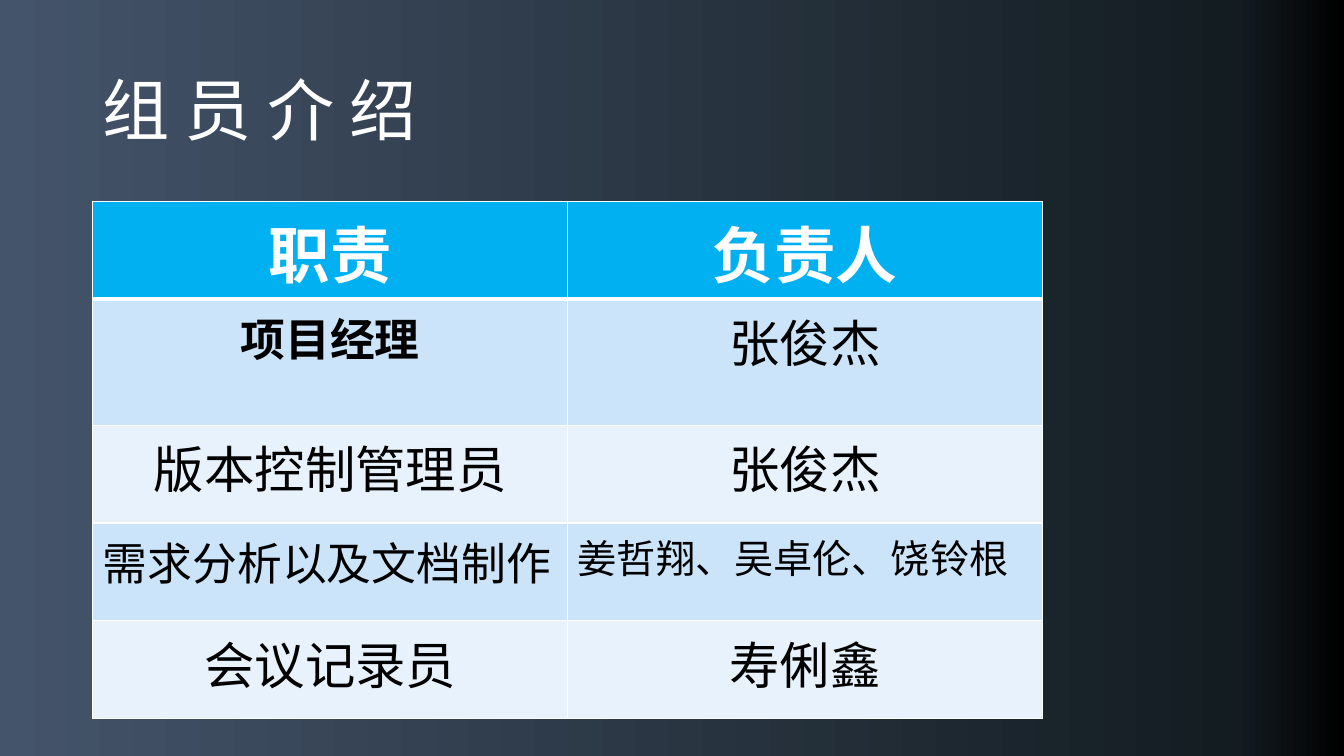
from lxml import etree
from pptx import Presentation
from pptx import util as u
from pptx.dml import color
from pptx.enum import text
from pptx.oxml import ns

COLORS = {
    "white": "FFFFFF",
    "black": "000000",
    "night": "131C21",
    "slate": "44546A",
    "header": "00B0F0",
    "band_dark": "CCE4F9",
    "band_light": "E7F2FC",
}
LATIN, EAST_ASIAN = "Arial", "Noto Sans CJK SC"
PX = 9144
CENTER, LEFT = text.PP_ALIGN.CENTER, text.PP_ALIGN.LEFT


def px(length):
    return u.Emu(length * PX)


def rgb(name):
    return color.RGBColor.from_string(COLORS[name])


def write(frame, wording, size, ink="black", bold=False, align=LEFT, spacing=None):
    paragraph = frame.paragraphs[0]
    paragraph.alignment = align
    paragraph.line_spacing = spacing
    run = paragraph.add_run()
    run.text = wording
    run.font.name = LATIN
    run.font.size = u.Pt(size)
    run.font.bold = bold
    run.font.color.rgb = rgb(ink)
    etree.SubElement(run.font._element, ns.qn("a:ea"), typeface=EAST_ASIAN)


class Deck:
    def __init__(self, width, height):
        self.show = Presentation()
        self.show.slide_width, self.show.slide_height = px(width), px(height)
        self.slide = self.show.slides.add_slide(self.show.slide_layouts[6])

    def background(self, stops, angle):
        fill = self.slide.background.fill
        fill.gradient()
        fill.gradient_angle = angle
        stop_list = next(self.slide.element.iter(ns.qn("a:gsLst")))
        for _ in stops[2:]:
            etree.SubElement(etree.SubElement(stop_list, ns.qn("a:gs"), pos="0"),
                             ns.qn("a:srgbClr"), val=COLORS["black"])
        for stop, (position, name) in zip(fill.gradient_stops, stops):
            stop.position = position
            stop.color.rgb = rgb(name)

    def title(self, wording, left, top, width, height, **style):
        frame = self.slide.shapes.add_textbox(
            px(left), px(top), px(width), px(height)).text_frame
        frame.word_wrap = True
        frame.vertical_anchor = text.MSO_ANCHOR.MIDDLE
        write(frame, wording, **style)

    def borders(self, cell, **widths):
        properties = cell._tc.get_or_add_tcPr()
        for index, side in enumerate("LRTB"):
            line = etree.Element(ns.qn(f"a:ln{side}"), w=str(u.Pt(widths.get(side, 1))))
            solid = etree.SubElement(line, ns.qn("a:solidFill"))
            etree.SubElement(solid, ns.qn("a:srgbClr"), val=COLORS["white"])
            properties.insert(index, line)

    def table(self, rows, left, top, column_width, heights):
        columns = len(rows[0])
        grid = self.slide.shapes.add_table(
            len(rows), columns, px(left), px(top),
            px(column_width * columns), px(sum(heights))).table
        for column in grid.columns:
            column.width = px(column_width)
        for index, (row, height) in enumerate(zip(rows, heights)):
            grid.rows[index].height = px(height)
            band = "header" if index == 0 else ("band_light", "band_dark")[index % 2]
            for cell, (wording, style) in zip(grid.rows[index].cells, row):
                write(cell.text_frame, wording, **style)
                cell.fill.solid()
                cell.fill.fore_color.rgb = rgb(band)
                self.borders(cell, T=3 if index == 1 else 1, B=3 if index == 0 else 1)


def main():
    deck = Deck(1333, 750)
    deck.background([(0, "black"), (0.08, "night"), (1, "slate")], 180)
    deck.title("组 员 介 绍", 92, 40, 1150, 145, size=48, ink="white", spacing=0.9)

    heading = dict(size=44, ink="white", bold=True, align=CENTER)
    body = dict(size=36, align=CENTER)
    members = [
        [("职责", heading), ("负责人", heading)],
        [("项目经理", dict(size=32, bold=True, align=CENTER)), ("张俊杰", body)],
        [("版本控制管理员", body), ("张俊杰", body)],
        [("需求分析以及文档制作", dict(size=32)), ("姜哲翔、吴卓伦、饶铃根", dict(size=28))],
        [("会议记录员", body), ("寿俐鑫", body)],
    ]
    deck.table(members, 92, 200, 471, [97, 125, 97, 97, 97])
    deck.show.save("out.pptx")


if __name__ == "__main__":
    main()
